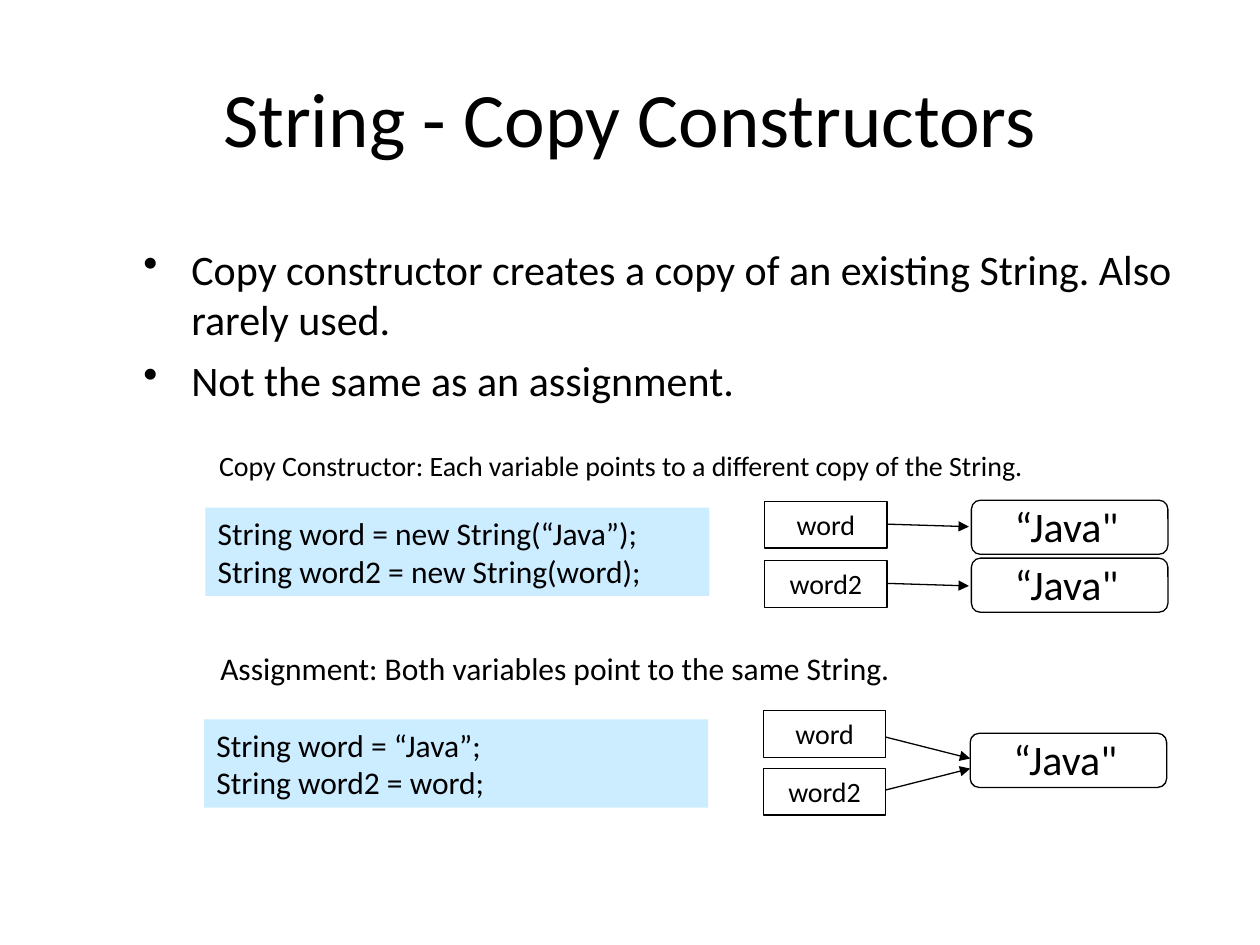
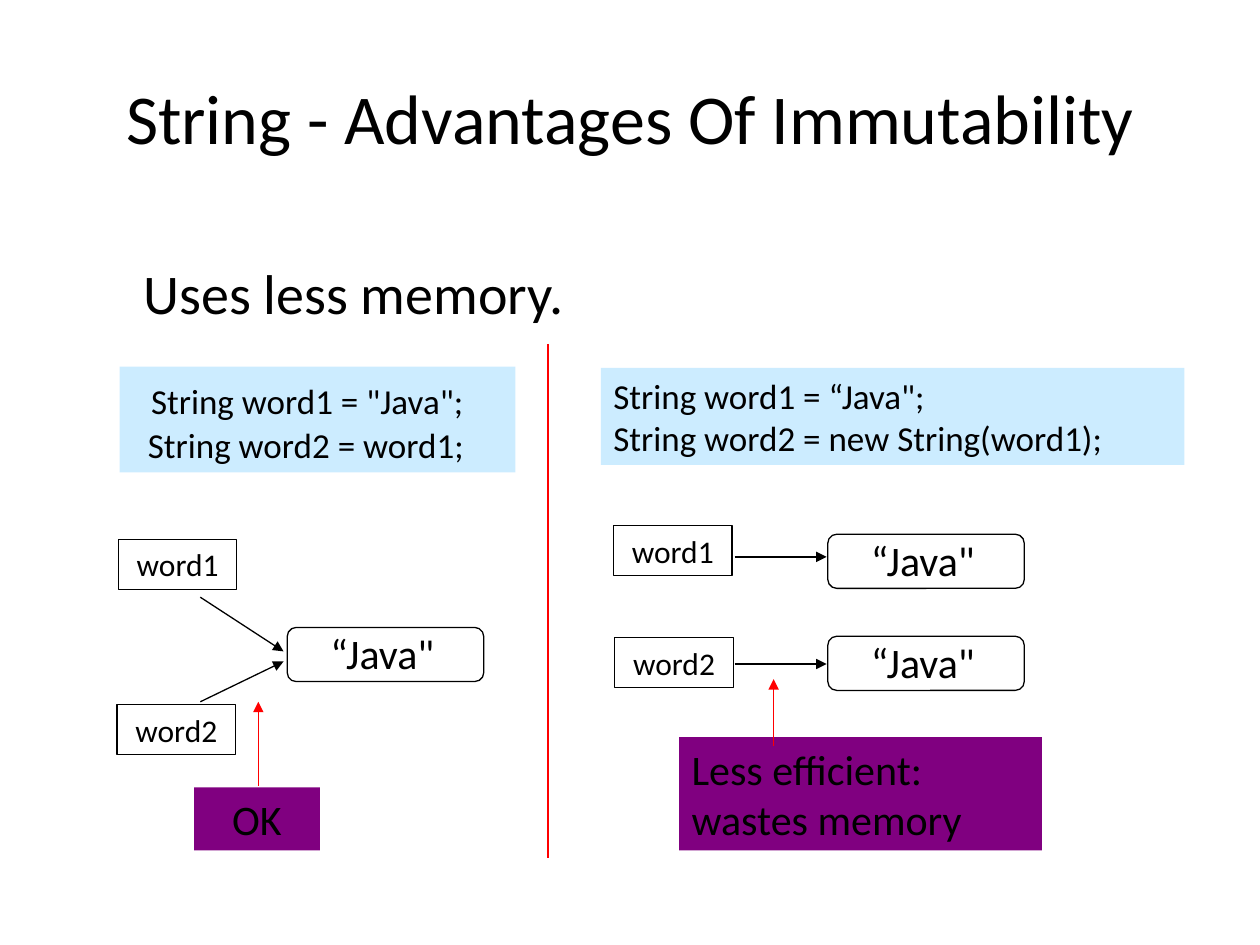
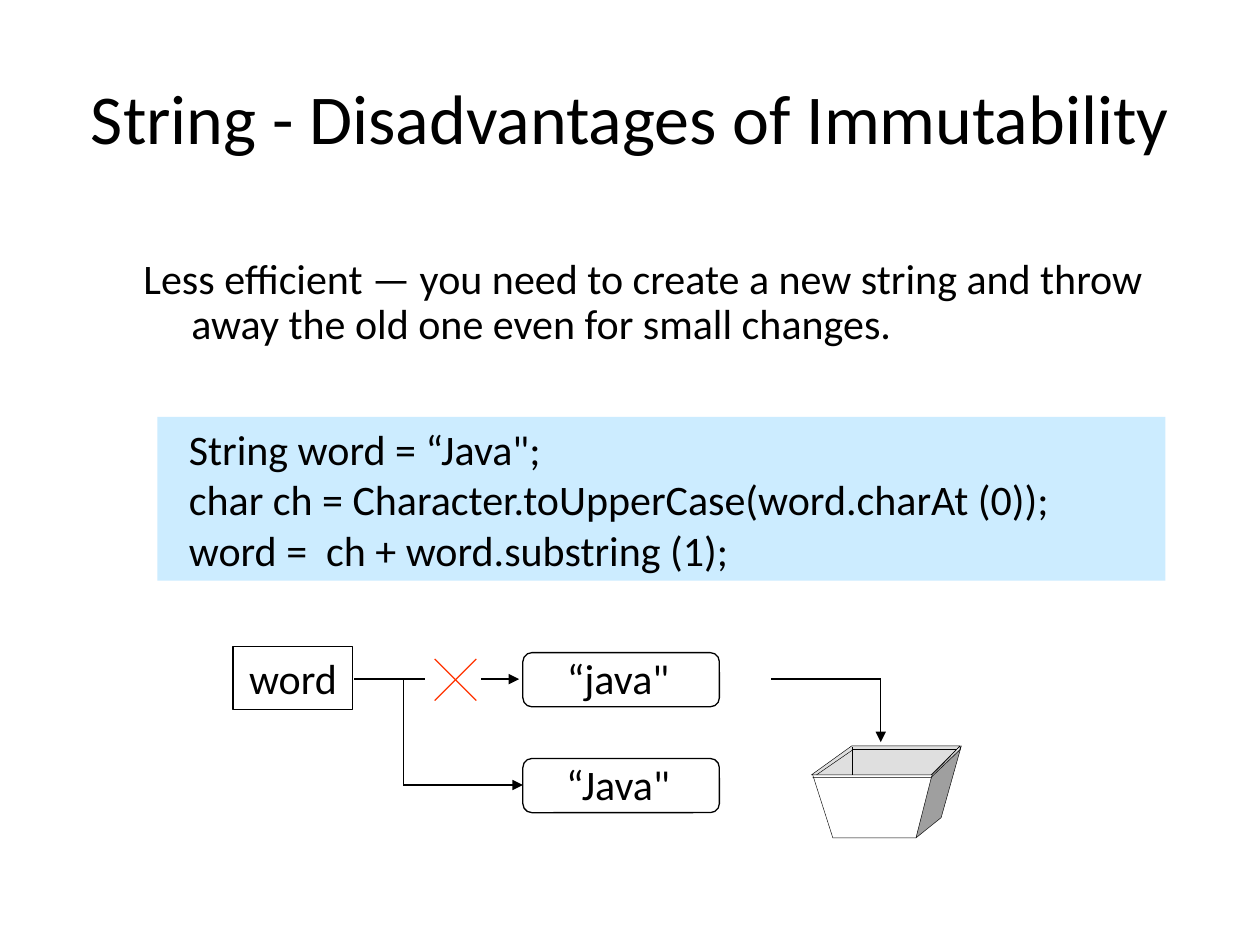
from lxml import etree
from pptx import Presentation
from pptx.dml.color import RGBColor
from pptx.enum.shapes import MSO_CONNECTOR as Connector, MSO_SHAPE as Preset
from pptx.enum.text import MSO_ANCHOR as Anchor, PP_ALIGN as Align
from pptx.oxml.ns import qn
from pptx.util import Pt

PX = 9144
COLORS = {
    "text": "000000",
    "line": "000000",
    "code": "CCECFF",
    "verdict": "800080",
    "marker": "FF0000",
    "cross": "FF3300",
    "bin_inside": "DFDFDF",
    "bin_side": "9F9F9F",
}
FRAME_FORMAT = {
    "word_wrap": True,
    "margin_left": 10 * PX,
    "margin_right": 10 * PX,
    "margin_top": 5 * PX,
    "margin_bottom": 5 * PX,
}
HANGING_INDENT = 38
STRING_SIZE = (156, 43)
STRING_LABEL_SIZE = (183, 50)


def set_format(target, values):
    for name, value in values.items():
        setattr(target, name, value)


def color(name):
    return RGBColor.from_string(COLORS[name])


def paint(shape, fill=None, line=None, width=0.75):
    shape.shadow.inherit = False
    if fill:
        shape.fill.solid()
        shape.fill.fore_color.rgb = color(fill)
    else:
        shape.fill.background()
    if line:
        shape.line.color.rgb = color(line)
        shape.line.width = Pt(width)
    else:
        shape.line.fill.background()


def write(shape, lines, size, align=Align.LEFT, anchor=Anchor.TOP):
    frame = shape.text_frame
    set_format(frame, FRAME_FORMAT | {"vertical_anchor": anchor})
    for index, line in enumerate(lines):
        paragraph = frame.paragraphs[0] if index == 0 else frame.add_paragraph()
        paragraph.alignment = align
        parts = [(line, size)] if isinstance(line, str) else line
        for text, points in parts:
            run = paragraph.add_run()
            run.text = text
            set_format(run.font, {"name": "Calibri", "size": Pt(points)})
            run.font.color.rgb = color("text")
    return frame.paragraphs


def add_text(slide, box, lines, size, **layout):
    shape = slide.shapes.add_textbox(*(value * PX for value in box))
    return write(shape, lines, size, **layout)


def add_box(slide, box, preset=Preset.RECTANGLE, **style):
    shape = slide.shapes.add_shape(preset, *(value * PX for value in box))
    paint(shape, **style)
    return shape


def add_title(slide, text, size):
    add_text(slide, (50, 30, 900, 125), [text], size, align=Align.CENTER, anchor=Anchor.MIDDLE)


def add_body(slide, box, lines, size, bullet=None, spacing=None):
    for index, paragraph in enumerate(add_text(slide, box, lines, size)):
        properties = paragraph._p.get_or_add_pPr()
        properties.set("marL", str(HANGING_INDENT * PX))
        properties.set("indent", str(-HANGING_INDENT * PX))
        if bullet:
            etree.SubElement(properties, qn("a:buChar"), char=bullet)
        if spacing:
            paragraph.line_spacing = spacing
        if index:
            paragraph.space_before = Pt(6)


def add_code(slide, box, lines, size):
    write(add_box(slide, box, fill="code"), lines, size)


def add_verdict(slide, box, text, align):
    write(add_box(slide, box, fill="verdict"), [text], 24, align)


def add_variable(slide, box, name, size):
    write(add_box(slide, box, line="line"), [name], size, Align.CENTER)


def add_string(slide, left, top, text="“Java\""):
    add_text(slide, (left - 16, top - 5, *STRING_LABEL_SIZE), [text], 24, align=Align.CENTER)
    add_box(slide, (left, top, *STRING_SIZE), Preset.ROUNDED_RECTANGLE, line="line")


def add_line(slide, start, end, arrow=False, stroke="line", width=0.75):
    points = (value * PX for value in (*start, *end))
    connector = slide.shapes.add_connector(Connector.STRAIGHT, *points)
    connector.line.color.rgb = color(stroke)
    connector.line.width = Pt(width)
    if arrow:
        etree.SubElement(connector.line._get_or_add_ln(), qn("a:tailEnd"), type="triangle")
    etree.SubElement(connector._element.spPr, qn("a:effectLst"))


def add_outline(slide, points, fill=None, close=False):
    builder = slide.shapes.build_freeform(*points[0], scale=PX)
    builder.add_line_segments(points[1:], close=close)
    paint(builder.convert_to_shape(), fill, "line", 0.25)


def add_bin(slide):
    add_outline(slide, [(644, 615), (676, 592), (762, 592), (740, 615)], "bin_inside", True)
    add_outline(slide, [(762, 594), (763, 592), (747, 649), (727, 665), (739, 618), (740, 615)], "bin_side")
    add_outline(slide, [(645, 615), (661, 665), (727, 665)])
    add_outline(slide, [(645, 617), (739, 617), (762, 595), (762, 592), (739, 615)])
    for start, end in (
        ((676, 593), (676, 615)),
        ((676, 595), (759, 595)),
        ((648, 615), (677, 595)),
    ):
        add_line(slide, start, end, width=0.25)


def build_copy_constructors(slide):
    add_title(slide, "String - Copy Constructors", 44)
    add_body(
        slide,
        (104, 188, 838, 478),
        [
            "Copy constructor creates a copy of an existing String. Also rarely used.",
            "Not the same as an assignment.",
        ],
        24,
        bullet="•",
    )
    add_text(
        slide,
        (164, 351, 761, 37),
        ["Copy Constructor: Each variable points to a different copy of the String."],
        16,
    )
    add_code(
        slide,
        (163, 403, 400, 70),
        ["String word = new String(“Java”);", "String word2 = new String(word);"],
        18,
    )
    for name, top, string_top in (("word", 398, 397), ("word2", 445, 443)):
        add_variable(slide, (607, top, 97, 37), name, 16)
        add_line(slide, (704, top + 18), (769, top + 20), arrow=True)
        add_string(slide, 771, string_top)

    add_text(slide, (165, 510, 606, 40), ["Assignment: Both variables point to the same String."], 18)
    add_code(slide, (162, 571, 400, 70), ["String word = “Java”;", "String word2 = word;"], 18)
    for name, top, start, end in (("word", 564, 585, 602), ("word2", 610, 627, 610)):
        add_variable(slide, (606, top, 97, 37), name, 16)
        add_line(slide, (703, start), (770, end), arrow=True)
    add_string(slide, 770, 582)


def build_advantages(slide):
    add_title(slide, "String - Advantages Of Immutability", 40)
    add_body(slide, (104, 200, 838, 75), ["Uses less memory."], 32)
    add_line(slide, (435, 273), (435, 681), stroke="marker")

    add_code(
        slide,
        (95, 291, 314, 84),
        [[("  ", 24), ("String word1 = \"Java\";", 20)], "  String word2 = word1;"],
        20,
    )
    for name, left, top, start, end in (
        ("word1", 94, 428, 474, 517),
        ("word2", 93, 559, 557, 525),
    ):
        add_variable(slide, (left, top, 94, 40), name, 18)
        add_line(slide, (159, start), (225, end), arrow=True)
    add_string(slide, 228, 498)
    add_verdict(slide, (154, 625, 100, 50), "OK", Align.CENTER)
    add_line(slide, (205, 624), (205, 557), arrow=True, stroke="marker")

    add_code(
        slide,
        (477, 292, 463, 77),
        ["String word1 = “Java\";", "String word2 = new String(word1);"],
        20,
    )
    for name, left, top, arrow_top, string_top in (
        ("word1", 487, 417, 442, 424),
        ("word2", 488, 506, 527, 505),
    ):
        add_variable(slide, (left, top, 94, 40), name, 18)
        add_line(slide, (583, arrow_top), (656, arrow_top), arrow=True)
        add_string(slide, 657, string_top)
    add_verdict(slide, (539, 585, 288, 90), "Less efficient: wastes memory", Align.LEFT)
    add_line(slide, (614, 592), (614, 539), arrow=True, stroke="marker")


def build_disadvantages(slide):
    add_title(slide, "String - Disadvantages of Immutability", 40)
    add_body(
        slide,
        (104, 200, 838, 100),
        [
            "Less efficient — you need to create a new string and throw "
            "away the old one even for small changes."
        ],
        24,
        spacing=0.9,
    )
    add_code(
        slide,
        (125, 331, 800, 130),
        [
            "  String word = “Java\";",
            "  char ch = Character.toUpperCase(word.charAt (0));",
            "  word =  ch + word.substring (1);",
        ],
        24,
    )
    add_variable(slide, (185, 513, 95, 50), "word", 24)
    for start, end, arrow in (
        ((281, 539), (337, 539), False),
        ((382, 539), (412, 539), True),
        ((320, 539), (320, 623), False),
        ((320, 623), (415, 623), True),
        ((612, 539), (699, 539), False),
        ((699, 539), (699, 589), True),
    ):
        add_line(slide, start, end, arrow)
    for start, end in ((556, 523), (523, 556)):
        add_line(slide, (345, start), (378, end), stroke="cross")
    add_string(slide, 415, 518, "“java\"")
    add_string(slide, 415, 602)
    add_bin(slide)


def main():
    presentation = Presentation()
    set_format(presentation, {"slide_width": 1000 * PX, "slide_height": 750 * PX})
    blank = presentation.slide_layouts[6]
    for build in (build_copy_constructors, build_advantages, build_disadvantages):
        build(presentation.slides.add_slide(blank))
    presentation.save("out.pptx")


if __name__ == "__main__":
    main()
